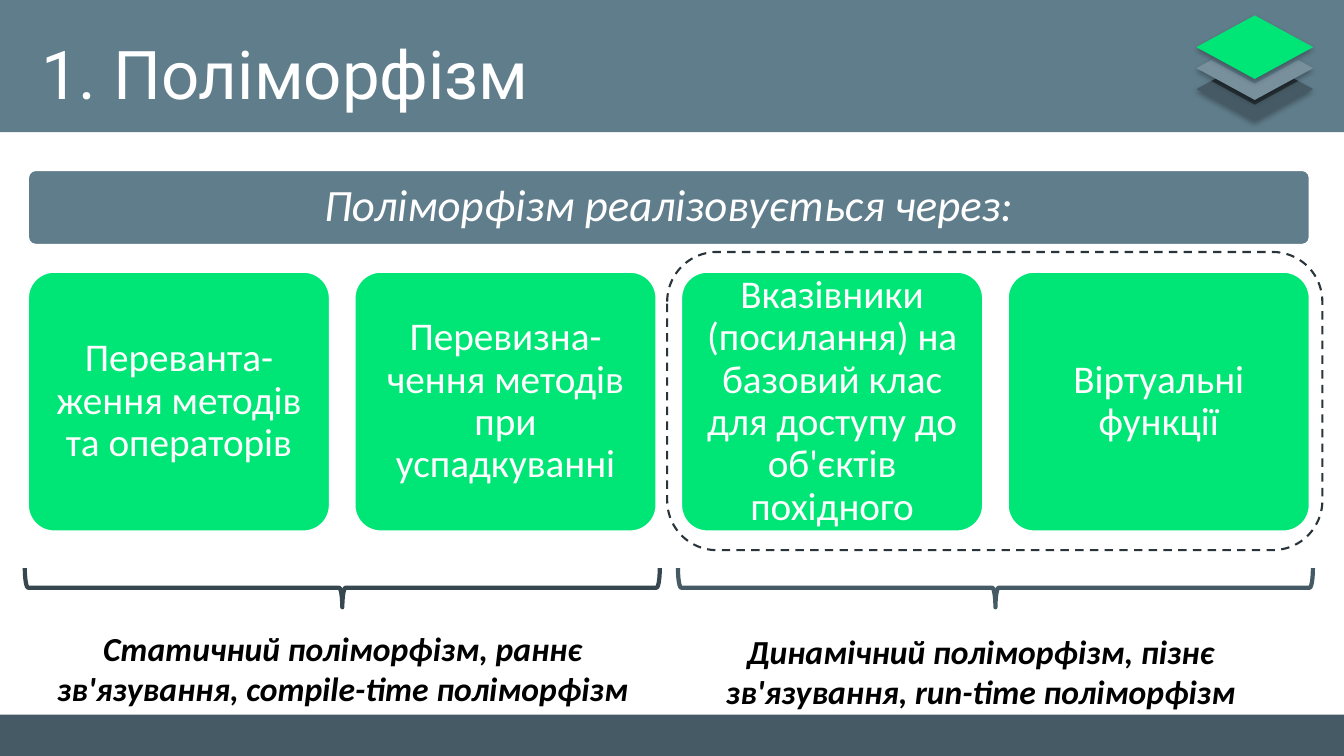
from lxml import etree
from pptx import Presentation
from pptx.dml.color import RGBColor
from pptx.enum.dml import MSO_LINE
from pptx.enum.shapes import MSO_SHAPE as SHAPE
from pptx.enum.text import MSO_ANCHOR as ANCHOR, PP_ALIGN as ALIGN
from pptx.oxml import parse_xml
from pptx.oxml.ns import nsdecls
from pptx.util import Pt

WHITE = RGBColor(0xFF, 0xFF, 0xFF)
BLACK = RGBColor(0x00, 0x00, 0x00)
GREEN = RGBColor(0x00, 0xE6, 0x76)
SLATE = RGBColor(0x60, 0x7D, 0x8B)
LIGHT_SLATE = RGBColor(0x78, 0x90, 0x9C)
DARK_SLATE = RGBColor(0x45, 0x5A, 0x64)
DEEP_SLATE = RGBColor(0x37, 0x47, 0x4F)
DASH_COLOR = RGBColor(0x29, 0x35, 0x3A)
INK = RGBColor(0x26, 0x32, 0x38)

SOFT_SHADOW = (
    f'<a:effectLst {nsdecls("a")}>'
    '<a:outerShdw blurRad="50800" dist="25400" dir="5400000" algn="t" rotWithShape="0">'
    '<a:srgbClr val="000000"><a:alpha val="30000"/></a:srgbClr>'
    '</a:outerShdw></a:effectLst>'
)

prs = Presentation()
prs.slide_width, prs.slide_height = Pt(960), Pt(540)
slide = prs.slides.add_slide(prs.slide_layouts[6])


def add_block(preset, left, top, width, height, fill=None, line=None, weight=1):
    block = slide.shapes.add_shape(preset, Pt(left), Pt(top), Pt(width), Pt(height))
    block.shadow.inherit = False
    if fill is None:
        block.fill.background()
    else:
        block.fill.solid()
        block.fill.fore_color.rgb = fill
    if line is None:
        block.line.fill.background()
    else:
        block.line.color.rgb = line
        block.line.width = Pt(weight)
    return block


def write(box, text, size, color, font="Calibri", align=ALIGN.CENTER):
    frame = box.text_frame
    frame.word_wrap = True
    paragraph = frame.paragraphs[0]
    paragraph.text = text
    paragraph.alignment = align
    paragraph.font.name = font
    paragraph.font.size = Pt(size)
    paragraph.font.color.rgb = color
    return paragraph


# Footer and header bands
add_block(SHAPE.RECTANGLE, 0, 510.5, 960, 29.5, DARK_SLATE)
add_block(SHAPE.RECTANGLE, 0, 0, 960, 94.5, SLATE)

# Stack of layers, bottom to top, each with the dark contact area above it
for top, layer_color, contact_color in [
    (41, DARK_SLATE, INK),
    (26, LIGHT_SLATE, SLATE),
    (11, GREEN, None),
]:
    layer = add_block(SHAPE.DIAMOND, 854.6, top, 83.4, 45.4, layer_color)
    props = layer.fill._xPr
    props.remove(props.find("{*}effectLst"))
    props.append(parse_xml(SOFT_SHADOW))
    if contact_color is not None:
        add_block(SHAPE.DIAMOND, 865.4, top, 61.8, 33.8, contact_color)

# Title
title = slide.shapes.add_textbox(Pt(22.3), Pt(19.4), Pt(827), Pt(61))
write(title, "1. Поліморфізм", 48, WHITE, "Roboto", ALIGN.LEFT)

# Dashed frame around the dynamic pair
dynamic_frame = add_block(SHAPE.ROUNDED_RECTANGLE, 476.6, 180, 468, 213, None, DASH_COLOR, 1.5)
dynamic_frame.line.dash_style = MSO_LINE.DASH

# Heading bar and the four mechanisms
CARD_LEFT, CARD_WIDTH, CARD_PITCH = 20.2, 215.2, 233.3
mechanisms = [
    "Переванта-ження методів та операторів",
    "Перевизна-чення методів при успадкуванні",
    "Вказівники (посилання) на базовий клас для доступу до об'єктів похідного",
    "Віртуальні функції",
]
panels = [(CARD_LEFT, 121.7, 915.1, 53, SLATE, "Поліморфізм реалізовується через:", 32, True)]
for i, mechanism in enumerate(mechanisms):
    panels.append((CARD_LEFT + i * CARD_PITCH, 194.4, CARD_WIDTH, 185, GREEN, mechanism, 28, False))

for left, top, width, height, fill, text, size, italic in panels:
    panel = add_block(SHAPE.ROUNDED_RECTANGLE, left, top, width, height, fill, WHITE)
    panel.adjustments[0] = 0.1
    frame = panel.text_frame
    frame.vertical_anchor = ANCHOR.MIDDLE
    frame.margin_left = frame.margin_right = Pt(11)
    frame.margin_top = frame.margin_bottom = Pt(0)
    paragraph = write(panel, text, size, WHITE)
    paragraph.line_spacing = 0.9
    paragraph.font.italic = italic

# Captions and braces under each pair
BRACE_DEPTH, BRACE_SPAN, BRACE_MIDDLE = 28, 453.6, 419.8
for left, top, caption, brace_center, brace_color in [
    (20.2, 445, "Статичний поліморфізм, раннє зв'язування, compile-time поліморфізм", 244.5, DEEP_SLATE),
    (475.9, 447, "Динамічний поліморфізм, пізнє зв'язування, run-time поліморфізм", 711, DARK_SLATE),
]:
    caption_box = slide.shapes.add_textbox(Pt(left), Pt(top), Pt(449.3), Pt(65.5))
    paragraph = write(caption_box, caption, 24, BLACK)
    paragraph.font.bold = True
    paragraph.font.italic = True
    brace = add_block(
        SHAPE.RIGHT_BRACE, brace_center - BRACE_DEPTH / 2, BRACE_MIDDLE - BRACE_SPAN / 2,
        BRACE_DEPTH, BRACE_SPAN, None, brace_color, 3,
    )
    brace.rotation = 90

prs.save("out.pptx")
